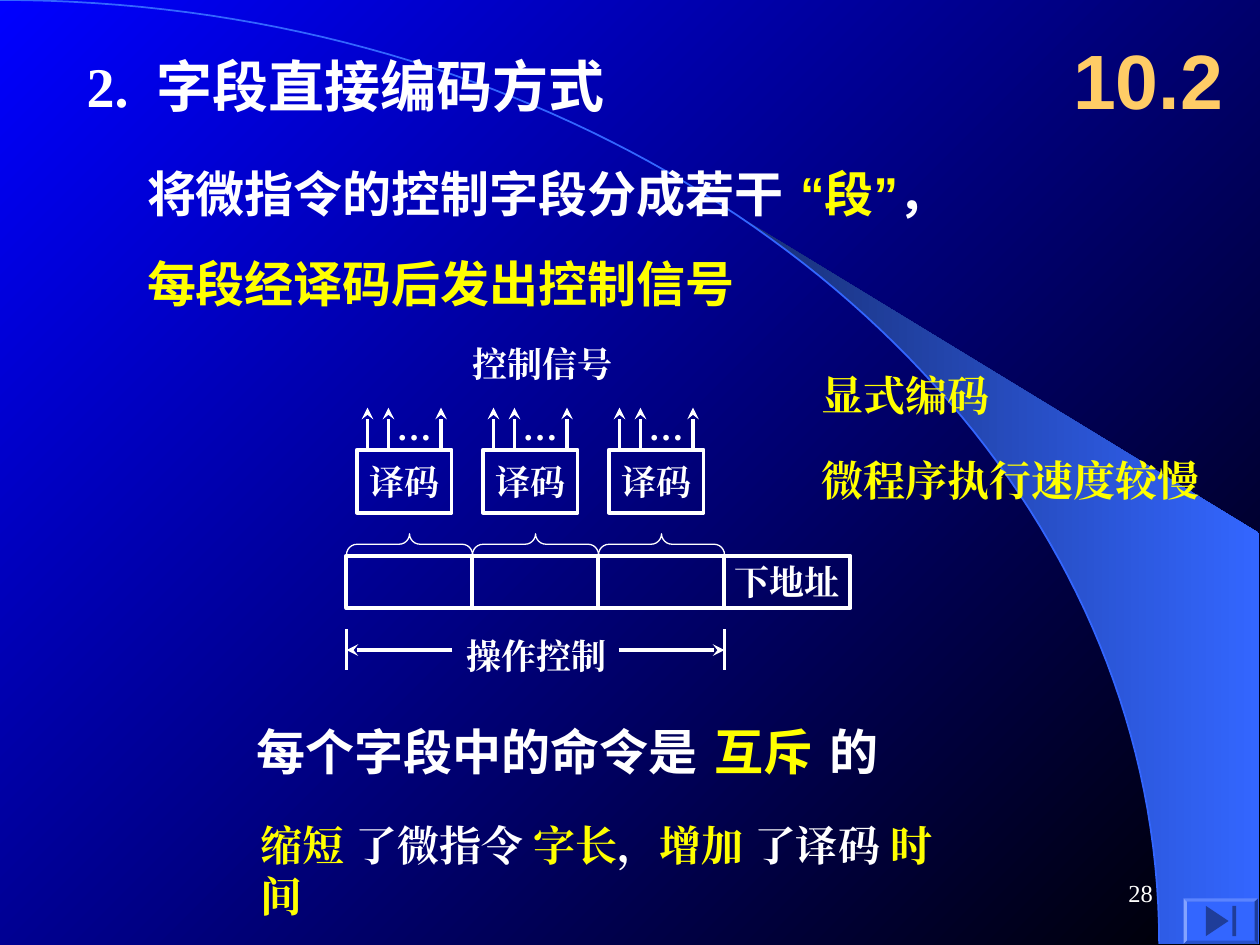
from lxml import etree
from pptx import Presentation
from pptx.dml.color import RGBColor
from pptx.enum.shapes import MSO_CONNECTOR, MSO_SHAPE
from pptx.enum.text import MSO_ANCHOR, MSO_AUTO_SIZE, PP_ALIGN
from pptx.oxml.ns import qn
from pptx.util import Pt

WHITE = RGBColor(0xFF, 0xFF, 0xFF)
YELLOW = RGBColor(0xFF, 0xFF, 0x00)
GOLD = RGBColor(0xFF, 0xCC, 0x66)
BLUE = RGBColor(0x33, 0x66, 0xFF)
NAVY = RGBColor(0x18, 0x2F, 0x76)
DARK = RGBColor(0x1F, 0x3D, 0x99)
DEEP = RGBColor(0x00, 0x00, 0xFF)
BLACK = RGBColor(0x00, 0x00, 0x00)
ROMAN, SANS, ARIAL = "Times New Roman", "DejaVu Sans", "Arial"


def write(shape, *lines, size=20, font=ROMAN, color=WHITE, bold=True, align=PP_ALIGN.LEFT,
          anchor=MSO_ANCHOR.TOP, wrap=False, grow=False, gap=0, hang=0):
    """Each line is a string or a list of (string, colour[, font]) runs."""
    frame = shape.text_frame
    frame.word_wrap = wrap
    frame.vertical_anchor = anchor
    frame.auto_size = MSO_AUTO_SIZE.SHAPE_TO_FIT_TEXT if grow else MSO_AUTO_SIZE.NONE
    for i, line in enumerate(lines):
        para = frame.add_paragraph() if i else frame.paragraphs[0]
        para.alignment = align
        para.space_before = Pt(gap if i else 0)
        if hang:
            props = para._p.get_or_add_pPr()
            props.set("marL", str(Pt(hang)))
            props.set("indent", str(-Pt(hang)))
        for part in [(line, color)] if isinstance(line, str) else line:
            run = para.add_run()
            run.text = part[0]
            face = part[2] if len(part) > 2 else font
            run.font.size, run.font.bold, run.font.name = Pt(size), bold, face
            run.font.color.rgb = part[1]
            etree.SubElement(run._r.rPr, qn("a:ea"), typeface=face)


def draw(kind, x, y, w, h, fill=None, line=None):
    """Add a preset shape; line is its white outline's width."""
    shape = shapes.add_shape(kind, Pt(x), Pt(y), Pt(w), Pt(h))
    shape.shadow.inherit = False
    if fill is None:
        shape.fill.background()
    else:
        shape.fill.solid()
        shape.fill.fore_color.rgb = fill
    if line is None:
        shape.line.fill.background()
    else:
        shape.line.color.rgb = WHITE
        shape.line.width = Pt(line)
    return shape


deck = Presentation()
deck.slide_width, deck.slide_height = Pt(720), Pt(540)
slide = deck.slides.add_slide(deck.slide_layouts[5])
shapes = slide.shapes

# Backdrop: gradient, crescent and arc
back = slide.background.fill
back.gradient()
back.gradient_angle = 315
for stop, color in zip(back.gradient_stops, (DEEP, BLACK)):
    stop.color.rgb = color

arc = []
for i in range(81):
    t = i / 80
    u = 1 - t
    arc.append((3 * 365.8 * t * u * u + 662.4 * t * t * (3 * u + t),
                3 * 241.2 * t * t * u + 539.3 * t * t * (3 * u + t)
                - 3 * 539.3 * t * t * u))
edge = [(x, y) for x, y in arc if x > 426]
outlines = []
for points, closed in (([(424, 124.6), *edge, (719.3, 539.3), (719.3, 304.6)], True),
                       (arc, False)):
    spots = [(Pt(x), Pt(y)) for x, y in points]
    path = shapes.build_freeform(*spots[0])
    path.add_line_segments(spots[1:], close=closed)
    shape = path.convert_to_shape()
    shape.shadow.inherit = False
    outlines.append(shape)
crescent, curve = outlines
crescent.line.fill.background()
crescent.fill.gradient()
crescent.fill.gradient_angle = 0
for stop, color in zip(crescent.fill.gradient_stops, (NAVY, BLUE)):
    stop.color.rgb = color
curve.fill.background()
curve.line.color.rgb = BLUE
curve.line.width = Pt(1)

# Section number
title = shapes.title
title.left, title.top, title.width, title.height = Pt(606), Pt(12), Pt(114), Pt(66)
write(title, "10.2", size=44, font=ARIAL, color=GOLD, anchor=MSO_ANCHOR.MIDDLE, wrap=True)

# Fields with their decoders
lines = []
for i in range(3):
    x = 198 + 72 * i
    box = draw(MSO_SHAPE.RECTANGLE, x + 6, 257, 54, 36, line=2.25)
    write(box, "译码", align=PP_ALIGN.CENTER, anchor=MSO_ANCHOR.MIDDLE)
    lines += [(x + dx, 257, x + dx, 233, True) for dx in (12, 24, 54)]
    draw(MSO_SHAPE.RECTANGLE, x, 317.5, 72, 30, line=2.25)
    brace = draw(MSO_SHAPE.LEFT_BRACE, x + 30, 275, 12, 72, line=0.75)
    brace.rotation = 90
    brace.adjustments[0] = 0.5
box = draw(MSO_SHAPE.RECTANGLE, 414, 317.5, 72, 30, line=2.25)
write(box, "下地址", align=PP_ALIGN.CENTER, anchor=MSO_ANCHOR.MIDDLE)

# Arrows and the span marks of the control part
for end, start in ((198, 258.5), (414, 353.5)):
    lines += [(end, 359.5, end, 383, False), (start, 371.5, end, 371.5, True)]
for x1, y1, x2, y2, head in lines:
    line = shapes.add_connector(MSO_CONNECTOR.STRAIGHT, Pt(x1), Pt(y1), Pt(x2), Pt(y2))
    line.line.color.rgb = WHITE
    line.line.width = Pt(2.25)
    if head:
        etree.SubElement(line.line._get_or_add_ln(), qn("a:tailEnd"), type="stealth")
    etree.SubElement(line._element.spPr, qn("a:effectLst"))

# Text
body = [
    [("将微指令的控制字段分成若干 ", WHITE), ("“", YELLOW, ARIAL), ("段", YELLOW),
     ("”", YELLOW, ARIAL), ("，", WHITE)],
    "每段经译码后发出控制信号",
]
rule = [("每个字段中的命令是 ", WHITE), ("互斥 ", YELLOW), ("的", WHITE)]
cost = [("缩短 ", YELLOW), ("了微指令 ", WHITE), ("字长", YELLOW), ("，", WHITE),
        ("增加 ", YELLOW), ("了译码 ", WHITE), ("时间", YELLOW)]
heading = [("2.\t", WHITE, ROMAN), ("字段直接编码方式", WHITE)]
texts = [
    (42.5, 26, 601, 46, [heading], dict(size=32, font=SANS, wrap=True, hang=40)),
    (77, 90, 601, 92, body, dict(size=28, font=SANS, color=YELLOW, wrap=True, gap=17.5)),
    (139.7, 409, 414, 41, [rule], dict(size=28, font=SANS, wrap=True)),
    (141.8, 465, 420, 36, [cost], dict(size=24)),
    (462.2, 207.4, 170, 36, ["显式编码"], dict(size=24, color=YELLOW, wrap=True)),
    (462.2, 256.3, 230.4, 36, ["微程序执行速度较慢"], dict(size=24, color=YELLOW)),
    (262.8, 192.2, 94.3, 31.7, ["控制信号"], {}),
    (259.2, 359.3, 94.3, 31.7, ["操作控制"], {}),
]
texts += [(219.6 + 72 * i, 228.2, 34.6, 31.7, ["…"], {}) for i in range(3)]
for x, y, w, h, words, style in texts:
    box = shapes.add_textbox(Pt(x), Pt(y), Pt(w), Pt(h))
    write(box, *words, grow=True, **style)

number = shapes.add_textbox(Pt(516), Pt(492), Pt(150), Pt(36))
write(number, "28", size=14, bold=False, align=PP_ALIGN.RIGHT,
      anchor=MSO_ANCHOR.MIDDLE, wrap=True)

# Button to the last slide
button = draw(MSO_SHAPE.BEVEL, 676.4, 513.4, 42.4, 25.9, fill=BLUE)
button.adjustments[0] = 0.07
arrow = draw(MSO_SHAPE.ISOSCELES_TRIANGLE, 686.9, 519.8, 17.3, 13, fill=DARK)
arrow.rotation = 90
draw(MSO_SHAPE.RECTANGLE, 704.2, 517.7, 2.2, 17.3, fill=DARK)

deck.save("out.pptx")
